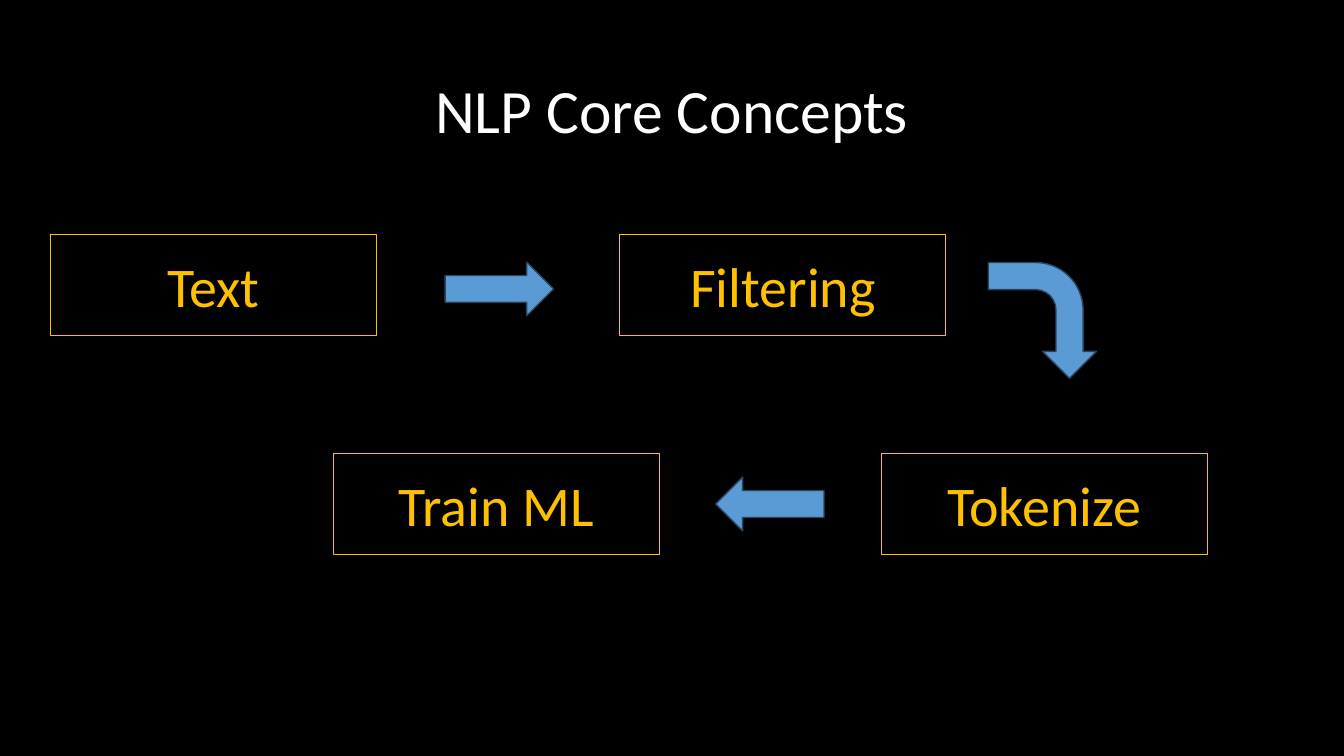
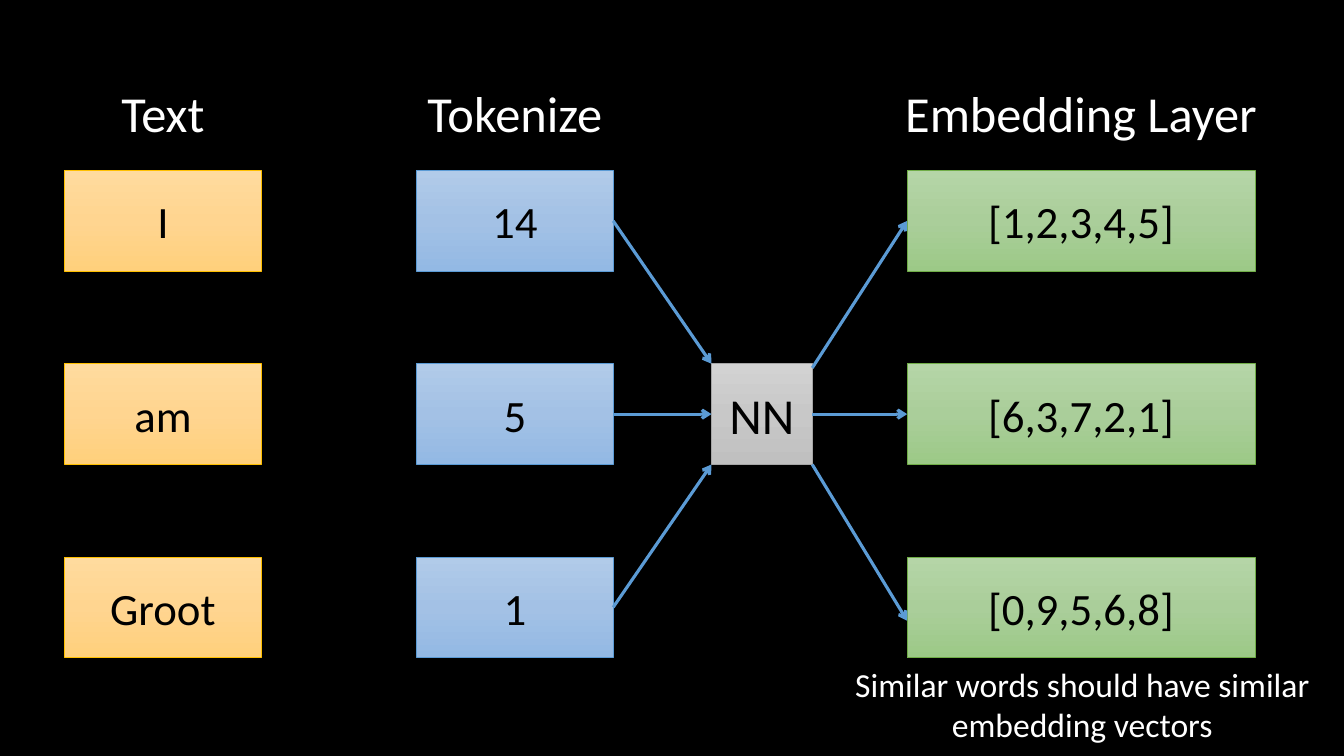
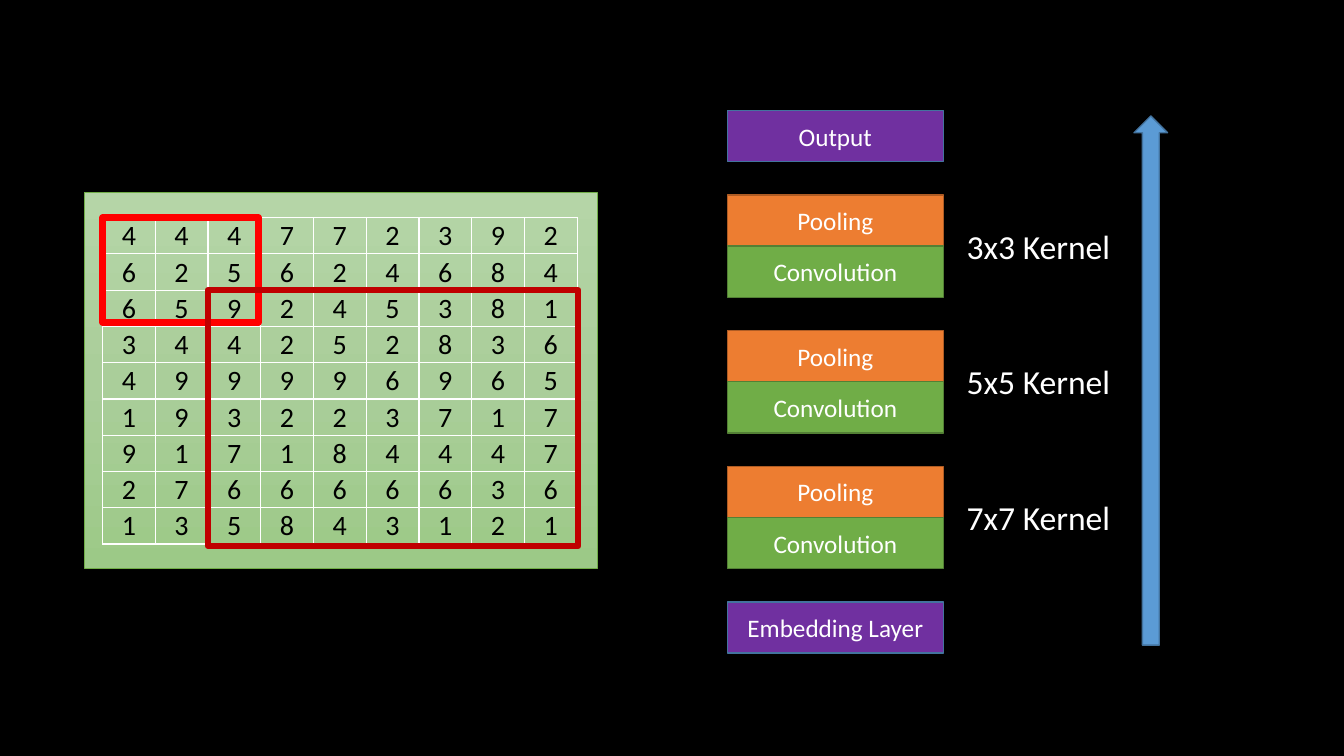
from copy import deepcopy
from dataclasses import dataclass

from pptx import Presentation
from pptx.dml.color import RGBColor
from pptx.enum.shapes import MSO_CONNECTOR, MSO_SHAPE as Preset
from pptx.enum.text import MSO_ANCHOR as Anchor, PP_ALIGN as Align
from pptx.oxml import parse_xml
from pptx.oxml.ns import nsdecls, qn
from pptx.util import Inches, Pt

# Grid of the slide: 160 columns by 90 rows, all square
COLUMNS, ROWS = 160, 90
UNIT = Inches(7.5) / ROWS
RIGHT_SIDE, LEFT_SIDE = 3, 1


@dataclass(frozen=True)
class Theme:
    font: str = "Calibri"
    background: str = "000000"
    light: str = "FFFFFF"
    dark: str = "000000"
    amber: str = "FFC000"
    blue: str = "5B9BD5"
    blue_edge: str = "43739E"
    navy_edge: str = "28445D"
    green: str = "70AD47"
    green_edge: str = "538035"
    orange: str = "ED7D31"
    orange_edge: str = "AF5C24"
    purple: str = "7030A0"
    gray: str = "A5A5A5"
    red: str = "FF0000"
    dark_red: str = "C00000"
    amber_blend: tuple = ("FFDB9E", "FFD590", "FFD07C")
    blue_blend: tuple = ("B1CBE9", "A3C1E5", "93B9E4")
    green_blend: tuple = ("B5D5A7", "AACE9A", "9CC987")
    gray_blend: tuple = ("D2D2D2", "C8C8C8", "C0C0C0")
    title_size: int = 44
    step_size: int = 40
    heading_size: int = 36
    item_size: int = 32
    note_size: int = 24
    cell_size: int = 20
    layer_size: int = 18


THEME = Theme()

MATRIX = """
447723926... 
"""
MATRIX = (
    "444772392", "625624684", "659245381", "344252836", "499996965",
    "193223717", "917184447", "276666636", "135843121",
)


def grid(*lengths):
    return [round(length * UNIT) for length in lengths]


def rgb(color):
    return RGBColor.from_string(color)


def apply(target, values):
    for name, value in values.items():
        setattr(target, name, value)


def write(frame, text, size, color, align=Align.CENTER, **frame_values):
    apply(frame, frame_values)
    paragraph = frame.paragraphs[0]
    paragraph.alignment = align
    run = paragraph.add_run()
    run.text = text
    apply(run.font, {"name": THEME.font, "size": Pt(size)})
    run.font.color.rgb = rgb(color)
    return paragraph


def blend(shape, colors):
    """Fill with an even gradient from top to bottom."""
    shape.fill.gradient()
    shape.fill.gradient_angle = 270
    stops = shape.element.spPr.find(".//" + qn("a:gsLst"))
    while len(stops) < len(colors):
        stops.append(deepcopy(stops[0]))
    for index, stop in enumerate(shape.fill.gradient_stops):
        stop.position = index / (len(colors) - 1)
        stop.color.rgb = rgb(colors[index])


def add_block(slide, box, line, width, fill=None, preset=Preset.RECTANGLE,
              rotation=0, text=None, size=None, color=THEME.light):
    """Add a shape; fill is None, one colour or a tuple of blended colours."""
    shape = slide.shapes.add_shape(preset, *grid(*box))
    shape.shadow.inherit = False
    shape.rotation = rotation
    if fill is None:
        shape.fill.background()
    elif isinstance(fill, tuple):
        blend(shape, fill)
    else:
        shape.fill.solid()
        shape.fill.fore_color.rgb = rgb(fill)
    shape.line.color.rgb = rgb(line)
    shape.line.width = Pt(width)
    if text:
        write(shape.text_frame, text, size, color,
              vertical_anchor=Anchor.MIDDLE, word_wrap=True)
    return shape


def add_label(slide, box, text, size, align=Align.CENTER, wrap=False):
    label = slide.shapes.add_textbox(*grid(*box))
    write(label.text_frame, text, size, THEME.light, align, word_wrap=wrap)


def add_arrow(slide, start, end, source=None, target=None):
    """Draw an arrow, joined to source's right and target's left if given."""
    arrow = slide.shapes.add_connector(MSO_CONNECTOR.STRAIGHT, *grid(*start, *end))
    if source is not None:
        arrow.begin_connect(source, RIGHT_SIDE)
    if target is not None:
        arrow.end_connect(target, LEFT_SIDE)
    arrow.line.color.rgb = rgb(THEME.blue)
    arrow.line.width = Pt(2.25)
    arrow.line._get_or_add_ln().append(
        parse_xml(f'<a:tailEnd {nsdecls("a")} type="arrow"/>'))
    arrow.element.spPr.append(parse_xml(f'<a:effectLst {nsdecls("a")}/>'))


def add_cell_borders(cell, color, width):
    properties = cell._tc.get_or_add_tcPr()
    for index, side in enumerate("LRTB"):
        properties.insert(index, parse_xml(
            f'<a:ln{side} {nsdecls("a")} w="{Pt(width)}"><a:solidFill>'
            f'<a:srgbClr val="{color}"/></a:solidFill></a:ln{side}>'))


def add_matrix(slide, left, top, cell_width, cell_height, rows):
    count = len(rows)
    box = (left, top, cell_width * count, cell_height * count)
    table = slide.shapes.add_table(count, count, *grid(*box)).table
    apply(table, {"first_row": False, "horz_banding": False})
    for column in table.columns:
        column.width = grid(cell_width)[0]
    for row, digits in zip(table.rows, rows):
        row.height = grid(cell_height)[0]
        for cell, digit in zip(row.cells, digits):
            cell.fill.background()
            add_cell_borders(cell, THEME.light, 1)
            apply(cell, {
                "vertical_anchor": Anchor.MIDDLE,
                "margin_left": Inches(0.01), "margin_right": Inches(0.01),
                "margin_top": Inches(0.01), "margin_bottom": 0,
            })
            write(cell.text_frame, digit, THEME.cell_size, THEME.dark)


def build_concepts(slide):
    title = slide.shapes.title
    apply(title, dict(zip(("left", "top", "width", "height"),
                          grid(11, 4.8, 138, 17.4))))
    paragraph = write(title.text_frame, "NLP Core Concepts", THEME.title_size,
                      THEME.light, vertical_anchor=Anchor.MIDDLE)
    paragraph.line_spacing = 0.9

    upper, lower = 27.9, 54
    for text, left, top in (("Text", 6, upper), ("Filtering", 73.8, upper),
                            ("Tokenize", 104.9, lower), ("Train ML", 39.7, lower)):
        add_block(slide, (left, top, 38.8, 12), THEME.amber, 0.75,
                  text=text, size=THEME.step_size, color=THEME.amber)
    for preset, box, rotation in (
            (Preset.RIGHT_ARROW, (53, 31.2, 12.9, 6.4), 0),
            (Preset.BENT_ARROW, (117.2, 31.7, 13.8, 12.9), 90),
            (Preset.RIGHT_ARROW, (85.2, 56.8, 12.9, 6.4), 180)):
        add_block(slide, box, THEME.navy_edge, 1, THEME.blue, preset, rotation)


def build_embedding(slide):
    first_row, row_step, height = 20.3, 23, 12
    columns = (
        ("Text", 7.7, 23.4, THEME.amber_blend, THEME.amber, ("I", "am", "Groot")),
        ("Tokenize", 49.6, 23.4, THEME.blue_blend, THEME.blue, ("14", "5", "1")),
        ("Embedding Layer", 108, 41.4, THEME.green_blend, THEME.green,
         ("[1,2,3,4,5]", "[6,3,7,2,1]", "[0,9,5,6,8]")),
    )
    blocks = []
    for heading, left, width, fill, line, items in columns:
        add_label(slide, (left - 2, 9.2, width + 4, 8.5), heading, THEME.heading_size)
        blocks.append([
            add_block(slide, (left, first_row + row * row_step, width, height),
                      line, 0.5, fill, text=item, size=THEME.item_size,
                      color=THEME.dark)
            for row, item in enumerate(items)])
    add_label(slide, (100.4, 78.4, 56.9, 10.9),
              "Similar words should have similar embedding vectors",
              THEME.note_size, wrap=True)

    left, top = 84.7, first_row + row_step
    right, middle, bottom = left + height, top + height / 2, top + height
    network = add_block(slide, (left, top, height, height), THEME.gray, 0.5,
                        THEME.gray_blend, text="NN", size=THEME.heading_size,
                        color=THEME.dark)
    _, tokens, vectors = blocks
    token_right, vector_left = 73, 108
    for token, end_y, target in zip(tokens, (top, middle, bottom),
                                    (None, network, None)):
        add_arrow(slide, (token_right, middle), (left, end_y), token, target)
    add_arrow(slide, (right, top + 0.5), (vector_left, middle), target=vectors[0])
    add_arrow(slide, (right, middle), (vector_left, middle), network, vectors[1])
    add_arrow(slide, (right, bottom), (vector_left, 73.9))


def build_convolution(slide):
    add_block(slide, (10.1, 22.9, 61, 44.8), THEME.green, 0.5, THEME.green_blend)
    left, top, cell_width, cell_height = 12.2, 25.9, 6.28, 4.32
    add_matrix(slide, left, top, cell_width, cell_height, MATRIX)

    layer_left, layer_width, layer_height, gap = 86.6, 25.7, 6.1, 3.95
    output = ("Output", THEME.purple, THEME.blue_edge)
    pooling = ("Pooling", THEME.orange, THEME.orange_edge)
    convolution = ("Convolution", THEME.green, THEME.green_edge)
    embedding = ("Embedding Layer", THEME.purple, THEME.blue_edge)
    layer_top = 13.15
    for kernel, layers in ((None, [output]),
                           ("3x3 Kernel", [pooling, convolution]),
                           ("5x5 Kernel", [pooling, convolution]),
                           ("7x7 Kernel", [pooling, convolution]),
                           (None, [embedding])):
        if kernel:
            add_label(slide, (113.9, layer_top + layer_height / 2, 19.7, 6),
                      kernel, THEME.note_size, Align.LEFT)
        for text, fill, line in layers:
            add_block(slide, (layer_left, layer_top, layer_width, layer_height),
                      line, 1, fill, text=text, size=THEME.layer_size)
            layer_top += layer_height
        layer_top += gap
    add_block(slide, (135, 13.8, 4, 63), THEME.blue_edge, 1, THEME.blue,
              Preset.DOWN_ARROW, 180)

    # Window: colour, first cell, cells across and down
    for line, first, across, down in ((THEME.red, 0, 2.96, 2.89),
                                      (THEME.dark_red, 2, 7.02, 7.05)):
        add_block(slide, (left + first * cell_width, top + first * cell_height,
                          across * cell_width, down * cell_height), line, 4.5)


def main():
    presentation = Presentation()
    apply(presentation, dict(zip(("slide_width", "slide_height"),
                                 grid(COLUMNS, ROWS))))
    background = presentation.slide_master.background.fill
    background.solid()
    background.fore_color.rgb = rgb(THEME.background)
    title_only, blank = presentation.slide_layouts[5], presentation.slide_layouts[6]
    for layout, build in ((title_only, build_concepts), (blank, build_embedding),
                          (blank, build_convolution)):
        build(presentation.slides.add_slide(layout))
    presentation.save("out.pptx")


if __name__ == "__main__":
    main()
